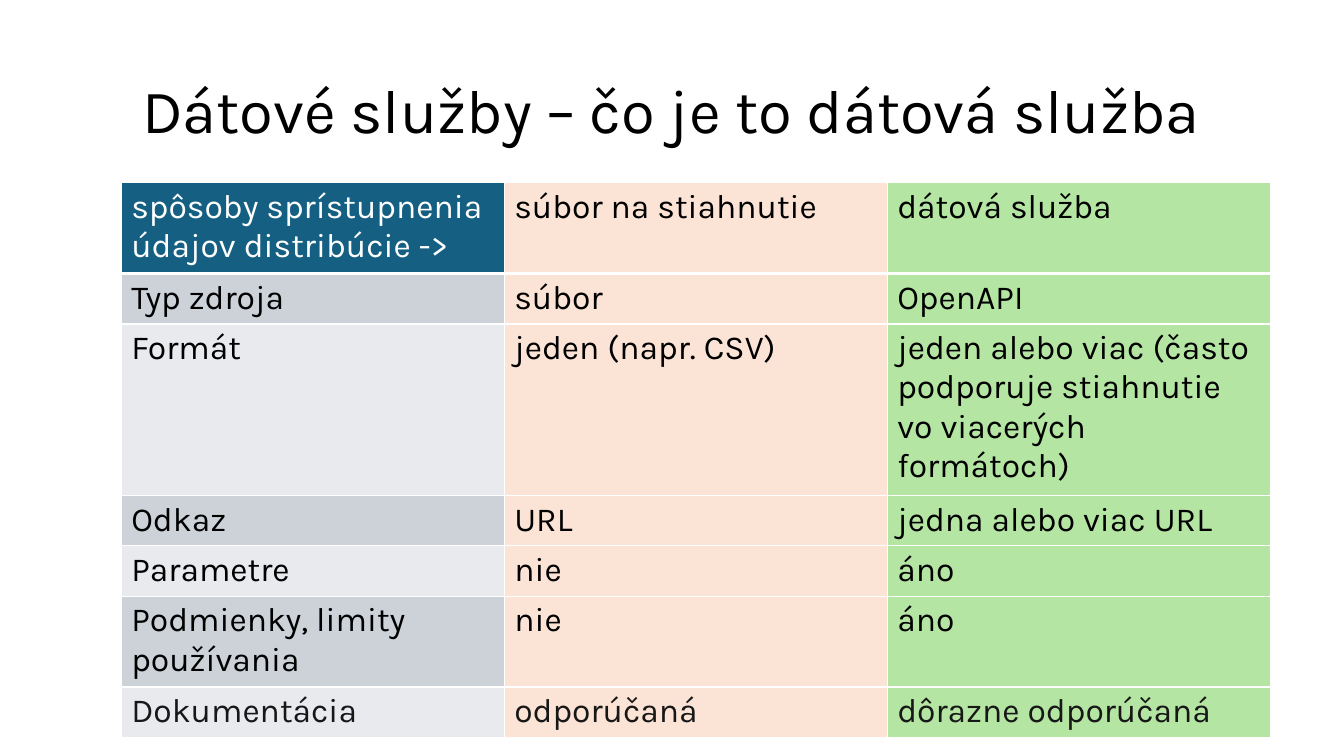
from lxml import etree
from pptx import Presentation
from pptx.dml.color import RGBColor
from pptx.enum.text import MSO_ANCHOR, PP_ALIGN
from pptx.oxml.ns import qn
from pptx.util import Pt

CENTER = PP_ALIGN.CENTER
MIDDLE = MSO_ANCHOR.MIDDLE

FONT = "Karla"
BLACK = RGBColor(0x00, 0x00, 0x00)
WHITE = RGBColor(0xFF, 0xFF, 0xFF)
CHARCOAL = RGBColor(0x17, 0x17, 0x17)
BLUE = RGBColor(0x15, 0x60, 0x82)
DARK_BAND = RGBColor(0xCC, 0xD2, 0xD8)
LIGHT_BAND = RGBColor(0xE8, 0xEA, 0xED)
PEACH = RGBColor(0xFB, 0xE3, 0xD6)
GREEN = RGBColor(0xB4, 0xE5, 0xA2)

TITLE = "Dátové služby – čo je to dátová služba"
# Each row: number of text lines, then the cell texts
ROWS = [
    (2, "spôsoby sprístupnenia údajov distribúcie ->", "súbor na stiahnutie", "dátová služba"),
    (1, "Typ zdroja", "súbor", "OpenAPI"),
    (4, "Formát", "jeden (napr. CSV)",
     "jeden alebo viac (často podporuje stiahnutie vo viacerých formátoch)"),
    (1, "Odkaz", "URL", "jedna alebo viac URL"),
    (1, "Parametre", "nie", "áno"),
    (2, "Podmienky, limity používania", "nie", "áno"),
    (1, "Dokumentácia", "odporúčaná", "dôrazne odporúčaná"),
]
LINE_HEIGHT = 28
CELL_PADDING = 7.2


def format_runs(paragraph, size, color):
    for run in paragraph.runs:
        run.font.name = FONT
        run.font.size = Pt(size)
        run.font.color.rgb = color


def set_borders(cell, bottom_width):
    properties = cell._tc.get_or_add_tcPr()
    widths = {"a:lnL": 1, "a:lnR": 1, "a:lnT": 1, "a:lnB": bottom_width}
    # Border lines stand before the fill in the cell properties
    for position, (tag, width) in enumerate(widths.items()):
        line = etree.Element(qn(tag), w=str(Pt(width)))
        fill = etree.SubElement(line, qn("a:solidFill"))
        etree.SubElement(fill, qn("a:srgbClr"), val=str(WHITE))
        properties.insert(position, line)


def add_title(slide, left, top, width, height):
    shape = slide.shapes.add_textbox(Pt(left), Pt(top), Pt(width), Pt(height))
    text_frame = shape.text_frame
    text_frame.word_wrap = True
    text_frame.vertical_anchor = MIDDLE
    text_frame.text = TITLE
    paragraph = text_frame.paragraphs[0]
    paragraph.alignment = CENTER
    paragraph.line_spacing = 0.9
    format_runs(paragraph, 44, BLACK)


def cell_colors(row, column):
    """Return the fill and text colours of a cell."""
    if row == 0 and column == 0:
        return BLUE, WHITE
    first_column = DARK_BAND if row % 2 else LIGHT_BAND
    text_color = CHARCOAL if row == len(ROWS) - 1 else BLACK
    return (first_column, PEACH, GREEN)[column], text_color


def add_comparison_table(slide, left, top, width):
    heights = [lines * LINE_HEIGHT + CELL_PADDING for lines, *_ in ROWS]
    column_count = len(ROWS[0]) - 1
    frame = slide.shapes.add_table(len(ROWS), column_count, Pt(left), Pt(top),
                                   Pt(width), Pt(sum(heights)))
    table = frame.table
    for column in table.columns:
        column.width = Pt(width / column_count)
    for row, (_, *texts) in enumerate(ROWS):
        table.rows[row].height = Pt(heights[row])
        for column, text in enumerate(texts):
            cell = table.cell(row, column)
            fill_color, text_color = cell_colors(row, column)
            cell.fill.solid()
            cell.fill.fore_color.rgb = fill_color
            set_borders(cell, 3 if row == 0 else 1)
            cell.text_frame.text = text
            paragraph = cell.text_frame.paragraphs[0]
            format_runs(paragraph, 24, text_color)
            for run in paragraph.runs:
                run.font.bold = False


def main():
    presentation = Presentation()
    presentation.slide_width = Pt(960)
    presentation.slide_height = Pt(540)
    slide = presentation.slides.add_slide(presentation.slide_layouts[6])
    add_title(slide, 66, 28.75, 828, 104.4)
    add_comparison_table(slide, 86.6, 130.5, 820.8)
    presentation.save("out.pptx")


if __name__ == "__main__":
    main()
